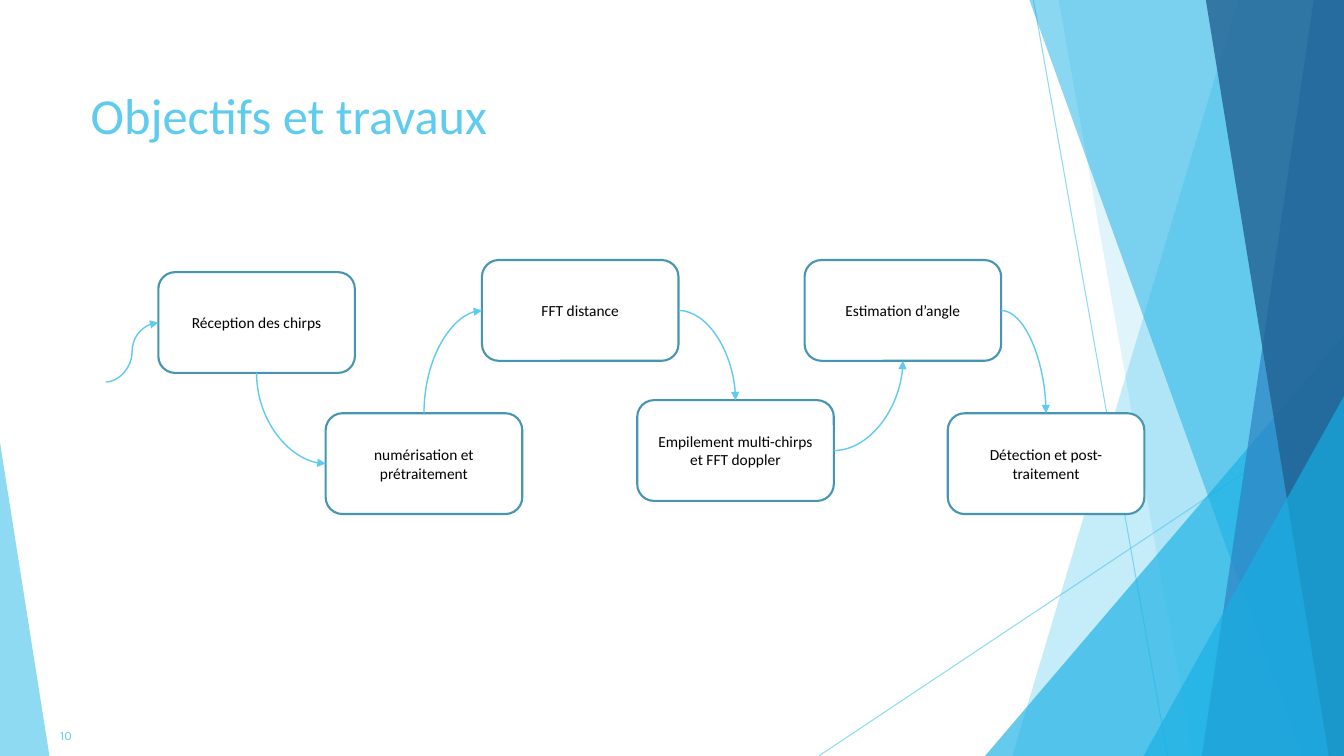
from lxml import etree
from pptx import Presentation
from pptx import util as u
from pptx.dml.color import RGBColor
from pptx.enum import shapes, text
from pptx.oxml.ns import qn

SKY = RGBColor(0x5F, 0xCB, 0xEF)
CYAN = RGBColor(0x17, 0xB0, 0xE4)
BLUE = RGBColor(0x2E, 0x83, 0xC3)
NAVY = RGBColor(0x22, 0x62, 0x92)
TEAL = RGBColor(0x46, 0x96, 0xB1)
WHITE = RGBColor(0xFF, 0xFF, 0xFF)
BLACK = RGBColor(0, 0, 0)

W, H = 13.33, 7.5
BOX_W, BOX_H = 1.95, 1.0
TOP, LEFT, BOTTOM, RIGHT = range(4)  # connection sites of a box

TITLE = "Objectifs et travaux"
PAGE = "10"
# label, left, top
STEPS = [
    ("Réception des chirps", 1.57, 2.7),
    ("numérisation et prétraitement", 3.23, 4.1),
    ("FFT distance", 4.78, 2.58),
    ("Empilement multi-chirps et FFT doppler", 6.32, 3.97),
    ("Estimation d’angle", 7.98, 2.58),
    ("Détection et post-traitement", 9.4, 4.1),
]
# exit site of each step, entry site of the next one
LINKS = [(BOTTOM, LEFT), (TOP, LEFT), (RIGHT, TOP), (RIGHT, BOTTOM), (RIGHT, TOP)]
SIGNAL_START = (1.05, 3.79)

RAYS = [((10.25, 0), (11.58, H)), ((W, 4.03), (8.12, H))]
# ("band", x at top, x at bottom) reaches the right edge;
# ("triangle", left, top, width, apex) stands on the bottom edge
FACETS = [
    (("band", 12.28, 10.04), SKY, 36),
    (("band", 10.5, 11.83), SKY, 20),
    (("triangle", 9.77, 3.33, 3.56, 1), CYAN, 66),
    (("band", 10.21, 12.91), CYAN, 50),
    (("band", 13.03, 11.92), BLUE, 70),
    (("band", 11.96, 13.18), NAVY, 80),
    (("triangle", 11.34, 3.93, 1.99, 1), CYAN, 66),
    (("triangle", 0, 4.39, 0.49, 0), SKY, 70),
]


def set_alpha(fill_owner, percent):
    """Make the solid fill found below the element partly transparent."""
    color = fill_owner.find(".//" + qn("a:srgbClr"))
    etree.SubElement(color, qn("a:alpha")).set("val", str(percent * 1000))


def add_line(slide, kind, start, end, width):
    line = slide.shapes.add_connector(kind, *(u.Inches(v) for v in (*start, *end)))
    line.line.color.rgb = SKY
    line.line.width = u.Pt(width)
    etree.SubElement(line._element.spPr, qn("a:effectLst"))
    return line


def add_facet(slide, outline, color, alpha):
    kind, *numbers = outline
    if kind == "band":
        top_x, bottom_x = numbers
        points = [(top_x, 0), (W, 0), (W, H), (bottom_x, H)]
        points = [(u.Inches(x), u.Inches(y)) for x, y in points]
        builder = slide.shapes.build_freeform(*points[0])
        builder.add_line_segments(points[1:])
        sp = builder.convert_to_shape()
    else:
        left, top, width, apex = numbers
        sp = slide.shapes.add_shape(
            shapes.MSO_SHAPE.ISOSCELES_TRIANGLE,
            *(u.Inches(v) for v in (left, top, width, H - top)))
        sp.adjustments[0] = apex
    sp.shadow.inherit = False
    sp.fill.solid()
    sp.fill.fore_color.rgb = color
    set_alpha(sp._element.spPr, alpha)
    sp.line.fill.background()


def add_step(slide, label, left, top):
    sp = slide.shapes.add_shape(
        shapes.MSO_SHAPE.ROUNDED_RECTANGLE,
        *(u.Inches(v) for v in (left, top, BOX_W, BOX_H)))
    sp.shadow.inherit = False
    sp.fill.solid()
    sp.fill.fore_color.rgb = WHITE
    sp.line.color.rgb = TEAL
    sp.line.width = u.Pt(1.5)
    tf = sp.text_frame
    tf.word_wrap = True
    tf.vertical_anchor = text.MSO_ANCHOR.MIDDLE
    write(tf, label, 11, "Calibri", BLACK, text.PP_ALIGN.CENTER)
    return sp


def write(tf, words, size, font, color, align):
    tf.text = words
    p = tf.paragraphs[0]
    p.alignment = align
    p.font.size = u.Pt(size)
    p.font.name = font
    p.font.color.rgb = color


def site(step, index):
    """Position in inches of a connection site of a step."""
    _, left, top = step
    dx, dy = [(0.5, 0), (0, 0.5), (0.5, 1), (1, 0.5)][index]
    return left + dx * BOX_W, top + dy * BOX_H


def add_arrow(slide, start, end):
    arrow = add_line(slide, shapes.MSO_CONNECTOR.CURVE, start, end, 1)
    ln = arrow.line._get_or_add_ln()
    etree.SubElement(ln, qn("a:tailEnd")).set("type", "triangle")
    return arrow


def bend_once(arrow, vertical_first):
    """Turn the curve into a quarter turn, leaving vertically if asked."""
    arrow._element.spPr.find(qn("a:prstGeom")).set("prst", "curvedConnector2")
    if not vertical_first:
        return
    going_up = arrow.end_y < arrow.begin_y
    left, top, width, height = arrow.left, arrow.top, arrow.width, arrow.height
    arrow.left = left + (width - height) // 2
    arrow.top = top + (height - width) // 2
    arrow.width, arrow.height = height, width
    xfrm = arrow._element.spPr.find(qn("a:xfrm"))
    xfrm.set("rot", str((90 if going_up else 270) * 60000))
    xfrm.set("flipH", "1")
    xfrm.set("flipV", "1" if going_up else "0")


def main():
    prs = Presentation()
    prs.slide_width, prs.slide_height = u.Inches(W), u.Inches(H)
    slide = prs.slides.add_slide(prs.slide_layouts[5])

    for start, end in RAYS:
        ray = add_line(slide, shapes.MSO_CONNECTOR.STRAIGHT, start, end, 0.75)
        set_alpha(ray._element.spPr, 70)
    for facet in FACETS:
        add_facet(slide, *facet)

    title = slide.shapes.title
    title.left, title.top, title.width, title.height = (
        u.Inches(v) for v in (0.8, 0.75, 9.4, 0.76))
    title.text_frame.vertical_anchor = text.MSO_ANCHOR.MIDDLE
    write(title.text_frame, TITLE, 36, "Calibri", SKY, text.PP_ALIGN.LEFT)

    page = slide.shapes.add_textbox(*(u.Inches(v) for v in (0.06, 7.1, 0.75, 0.4)))
    page.text_frame.word_wrap = True
    page.text_frame.vertical_anchor = text.MSO_ANCHOR.MIDDLE
    write(page.text_frame, PAGE, 9, "Karla", SKY, text.PP_ALIGN.RIGHT)

    boxes = [add_step(slide, *step) for step in STEPS]
    signal = add_arrow(slide, SIGNAL_START, site(STEPS[0], LEFT))
    signal.end_connect(boxes[0], LEFT)
    for i, (leave, enter) in enumerate(LINKS):
        arrow = add_arrow(slide, site(STEPS[i], leave), site(STEPS[i + 1], enter))
        arrow.begin_connect(boxes[i], leave)
        arrow.end_connect(boxes[i + 1], enter)
        bend_once(arrow, leave in (TOP, BOTTOM))

    prs.save("out.pptx")


if __name__ == "__main__":
    main()
